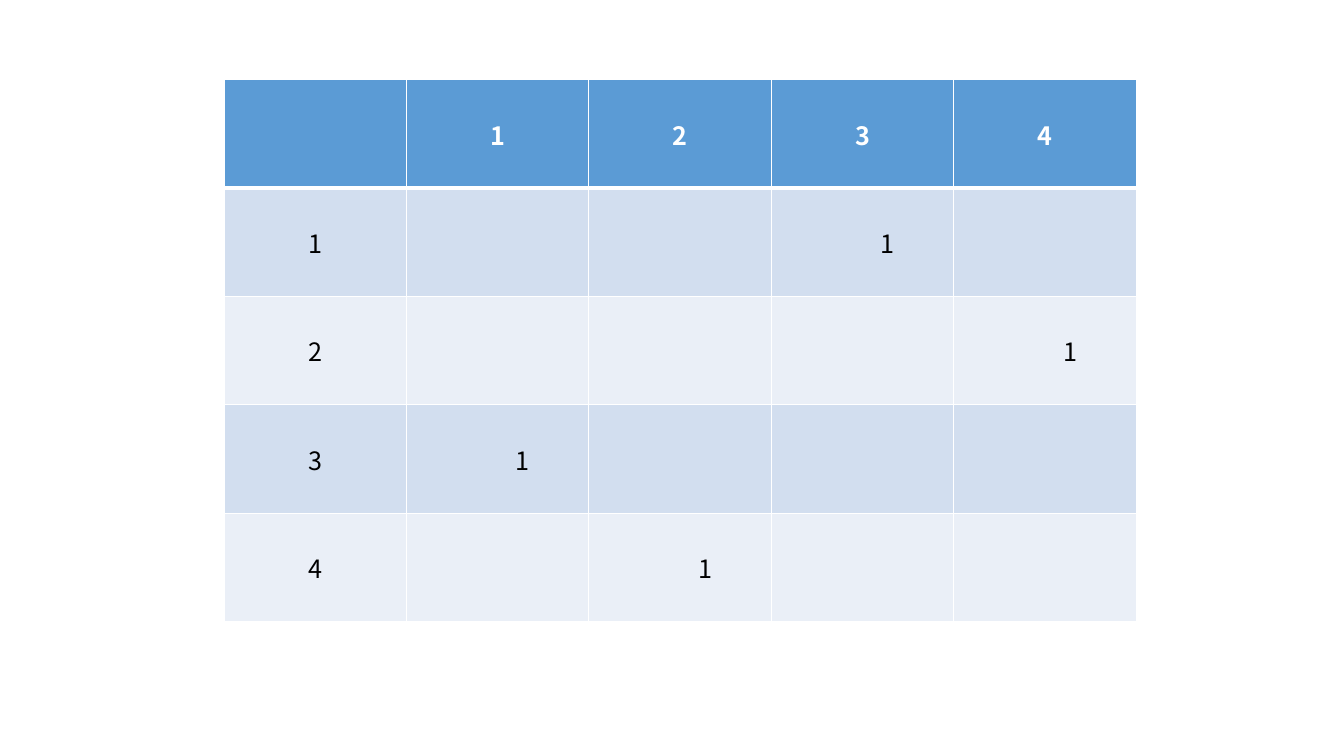
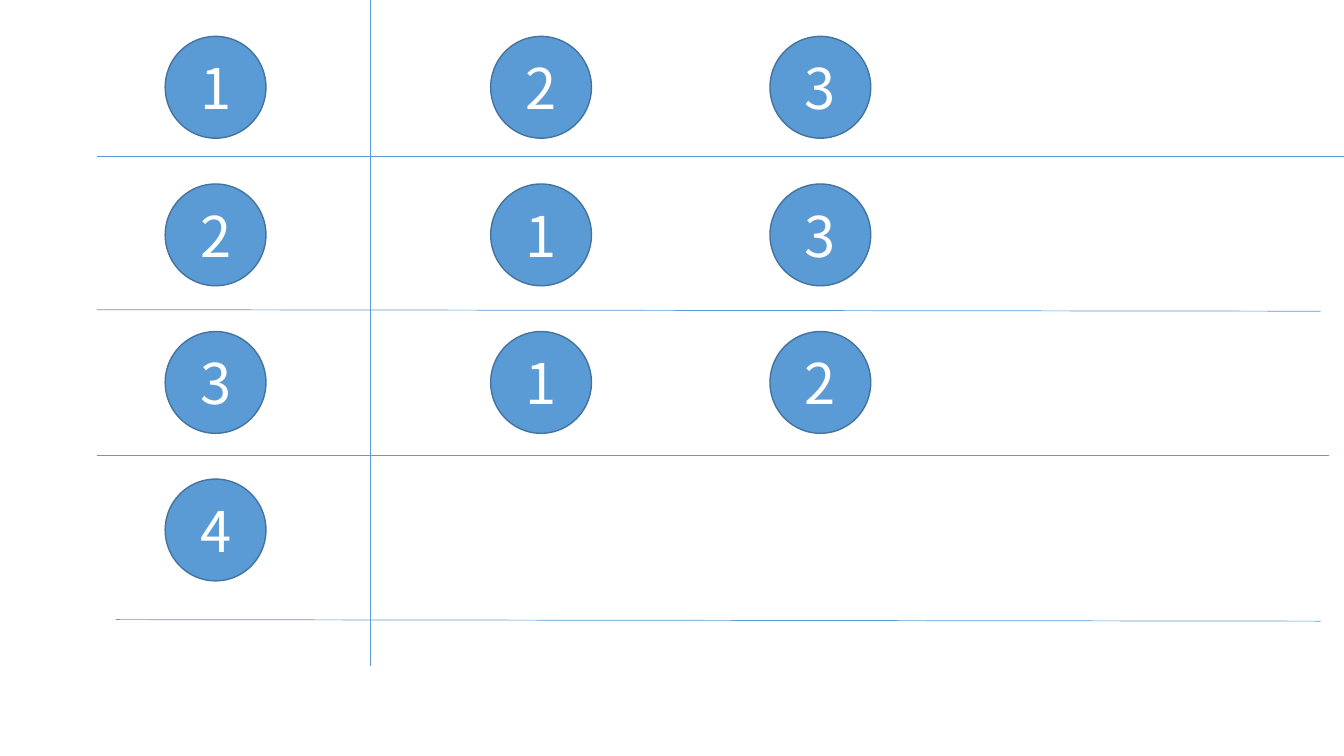
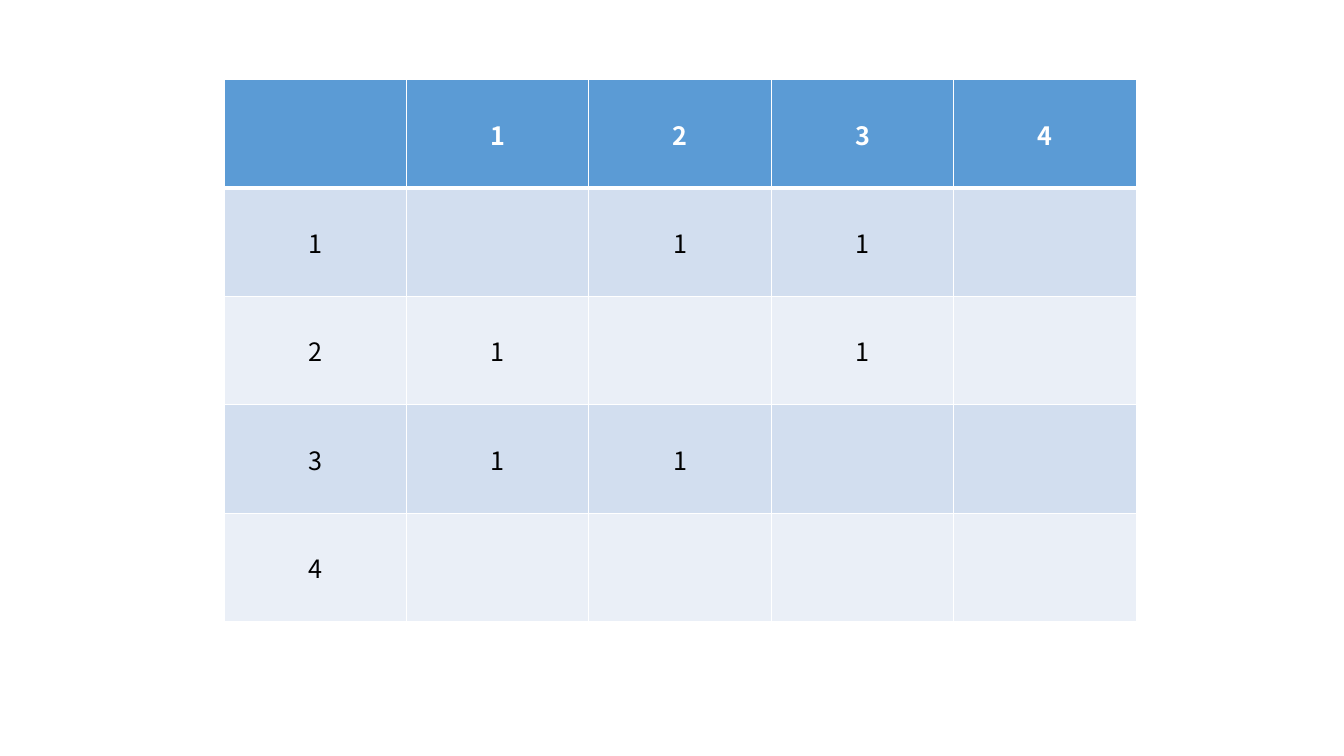
from lxml import etree
from pptx import Presentation
from pptx.dml.color import RGBColor
from pptx.enum.shapes import MSO_CONNECTOR, MSO_SHAPE
from pptx.enum.text import MSO_ANCHOR, PP_ALIGN
from pptx.oxml.ns import qn
from pptx.util import Pt

STRAIGHT = MSO_CONNECTOR.STRAIGHT
OVAL = MSO_SHAPE.OVAL
MIDDLE = MSO_ANCHOR.MIDDLE
CENTER = PP_ALIGN.CENTER

COLORS = {
    "accent": "5B9BD5",
    "outline": "43739E",
    "band_dark": "D2DEEF",
    "band_light": "EAEFF7",
    "white": "FFFFFF",
    "black": "000000",
}
FONT = "Noto Sans CJK KR"
NODES = ["1", "2", "3", "4"]
TABLE_BOX = (160, 57, 651.6, 387)


def rgb(name):
    return RGBColor.from_string(COLORS[name])


def write_centered(para, text, size, color, bold=False):
    para.alignment = CENTER
    span = para.add_run()
    span.text = text
    span.font.name = FONT
    span.font.size = Pt(size)
    span.font.bold = bold
    span.font.color.rgb = rgb(color)


def set_borders(cell, widths):
    properties = cell._tc.get_or_add_tcPr()
    for side, width in widths.items():
        border = etree.SubElement(properties, qn(f"a:ln{side}"), w=str(Pt(width)))
        fill = etree.SubElement(border, qn("a:solidFill"))
        etree.SubElement(fill, qn("a:srgbClr"), val=COLORS["white"])


def add_matrix(page, box, marks, mark_indent=0):
    left, top, width, height = box
    count = len(NODES) + 1
    table = page.shapes.add_table(
        count, count, Pt(left), Pt(top), Pt(width), Pt(height)
    ).table
    for column in table.columns:
        column.width = Pt(width / count)
    for row in table.rows:
        row.height = Pt(height / count)

    labels = [""] + NODES
    for r in range(count):
        for c in range(count):
            cell = table.cell(r, c)
            header = r == 0
            marked = (r, c) in marks
            set_borders(cell, {"L": 1, "R": 1, "T": 3 if r == 1 else 1, "B": 3 if header else 1})
            band = "accent" if header else "band_dark" if r % 2 else "band_light"
            cell.fill.solid()
            cell.fill.fore_color.rgb = rgb(band)
            cell.vertical_anchor = MIDDLE
            text = labels[c] if header else labels[r] if c == 0 else "1" if marked else ""
            if not text:
                continue
            para = cell.text_frame.paragraphs[0]
            write_centered(para, text, 18, "white" if header else "black", header)
            if marked and mark_indent:
                para.level = 1
                para._p.get_or_add_pPr().set("marL", str(Pt(mark_indent)))


def add_rule(page, x1, y1, x2, y2):
    rule = page.shapes.add_connector(STRAIGHT, Pt(x1), Pt(y1), Pt(x2), Pt(y2))
    rule.line.color.rgb = rgb("accent")
    rule.line.width = Pt(0.5)
    etree.SubElement(rule._element.spPr, qn("a:effectLst"))


def add_node(page, left, top, text):
    node = page.shapes.add_shape(OVAL, Pt(left), Pt(top), Pt(72), Pt(72.72))
    node.shadow.inherit = False
    node.fill.solid()
    node.fill.fore_color.rgb = rgb("accent")
    node.line.color.rgb = rgb("outline")
    node.line.width = Pt(1)
    node.text_frame.vertical_anchor = MIDDLE
    write_centered(node.text_frame.paragraphs[0], text, 40, "white")


def add_adjacency_list(page, box, neighbors):
    left, top, width, height = box
    right = left + width
    column_offsets = [49, 281.5, 481]
    first_row, row_step = 26, 105.4
    for r, (node, linked) in enumerate(zip(NODES, neighbors)):
        for offset, text in zip(column_offsets, [node] + linked):
            add_node(page, left + offset, top + first_row + r * row_step, text)

    divider = left + 195.2
    add_rule(page, divider, top, divider, top + height)
    row_rules = [
        (0, 111.6, 0, 111.6),
        (0, 221.2, 16.6, 222.3),
        (0, 325.5, 11, 325.5),
        (13.8, 442.6, 16.6, 443.7),
    ]
    for start_inset, start_y, end_inset, end_y in row_rules:
        add_rule(page, left + start_inset, top + start_y, right - end_inset, top + end_y)


deck = Presentation()
deck.slide_width, deck.slide_height = Pt(960), Pt(540)
blank = deck.slide_layouts[6]

matching = {(1, 3), (2, 4), (3, 1), (4, 2)}
add_matrix(deck.slides.add_slide(blank), TABLE_BOX, matching, 36)

neighbors = [["2", "3"], ["1", "3"], ["1", "2"], []]
add_adjacency_list(deck.slides.add_slide(blank), (69, 0, 891, 475.5), neighbors)

adjacency = {(r, int(node)) for r, linked in enumerate(neighbors, 1) for node in linked}
add_matrix(deck.slides.add_slide(blank), TABLE_BOX, adjacency)

deck.save("out.pptx")
